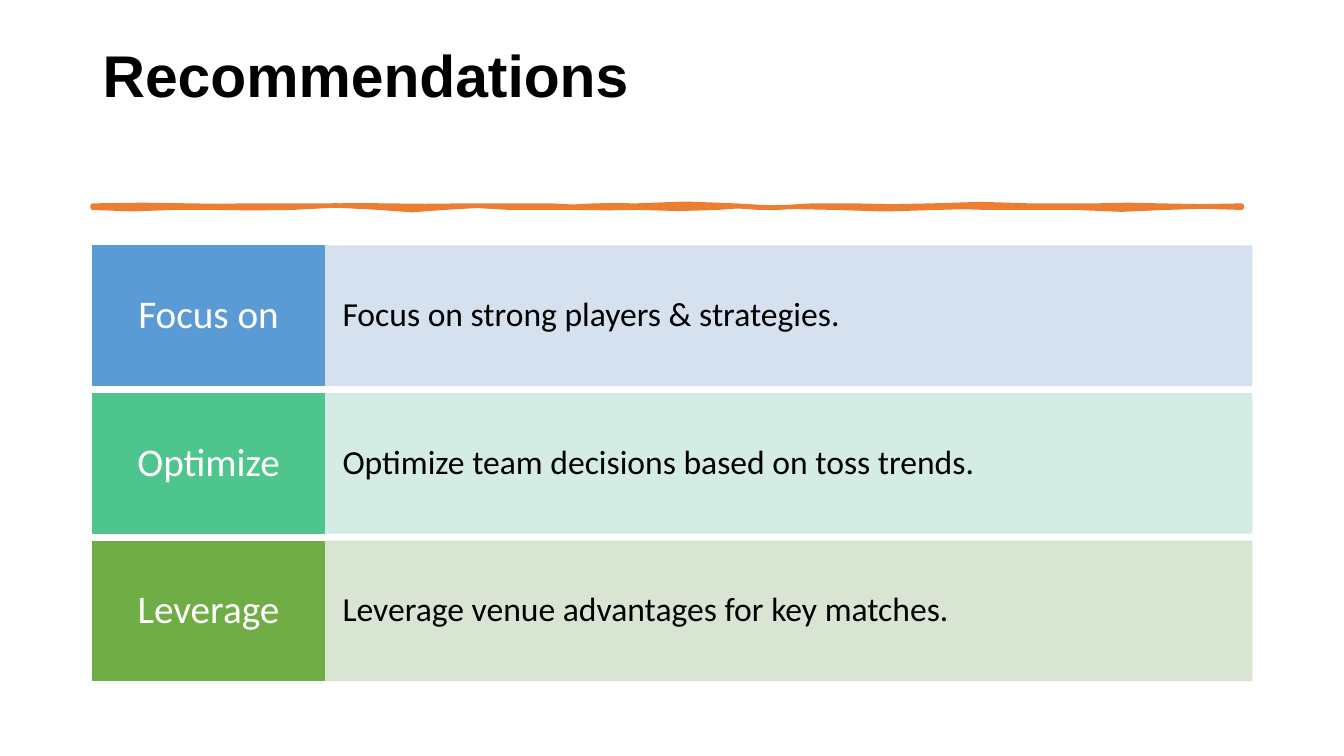
from dataclasses import dataclass

from lxml import etree
from pptx import Presentation
from pptx.dml.color import RGBColor
from pptx.enum import shapes, text
from pptx.oxml import ns
from pptx.util import Pt


@dataclass(frozen=True)
class Theme:
    """Colours, fonts and type sizes of the slide."""
    ink: str = "000000"
    paper: str = "FFFFFF"
    accent: str = "ED7D31"
    heading_font: str = "Arial"
    body_font: str = "Calibri"
    heading_size: float = 42
    label_size: float = 28
    advice_size: float = 24
    stroke: float = 3.25
    tint_alpha: int = 90


THEME = Theme()

RECOMMENDATIONS = [
    ("Focus on", "Focus on strong players & strategies.", "5B9BD5", "D2DEEF"),
    ("Optimize", "Optimize team decisions based on toss trends.", "4DC58D", "D0EAE1"),
    ("Leverage", "Leverage venue advantages for key matches.", "70AD47", "D5E3CF"),
]

UPPER_WAVES = [
    (70.6, 0, -1.4), (109.4, 1.4, -0.7), (172, 0.7, -0.7), (210, 0.7, -1.4),
    (265, 1.4, -0.7), (328, 0.7, -0.7), (358, 0.7, 1.4), (388, -1.4, 0.7),
    (459, -0.7, -2.9), (514, 2.9, 1.4), (544, -1.4, 1.4), (599, -1.4, 2.9),
    (670, -2.9, 0), (716, 0, 0), (763, 0, -1.4), (820.8, 1.4, 0),
]
LOWER_WAVES = [
    (820.8, 0, 0), (766, 0, -2.2), (703, 2.2, 1.4), (640, -1.4, 1.4),
    (602, -1.4, 0), (531, 0, 2.9), (476, -2.9, 1.4), (446, -1.4, -1.4),
    (391, 1.4, 0.7), (344, -0.7, 1.4), (298, -1.4, 1.4), (251, -1.4, -2.2),
    (205, 2.2, 2.2), (142, -2.2, -2.2), (87, 2.2, -1.4), (57, 1.4, -1.4),
    (0, 1.4, 1.4),
]


def write(frame, wording, font, size, colour, align, anchor, insets, bold=False):
    """Put one formatted run into a text frame."""
    frame.word_wrap = True
    frame.vertical_anchor = anchor
    frame.margin_left = frame.margin_right = Pt(insets[0])
    frame.margin_top = frame.margin_bottom = Pt(insets[1])
    line = frame.paragraphs[0]
    line.alignment = align
    line.line_spacing = 0.9
    run = line.add_run()
    run.text = wording
    run.font.name, run.font.size, run.font.bold = font, Pt(size), bold
    run.font.color.rgb = RGBColor.from_string(colour)


def paint(shape, colour, stroke=1, alpha=100):
    """Give a shape one colour for fill and line, with optional transparency."""
    shape.shadow.inherit = False
    shape.fill.solid()
    shape.fill.fore_color.rgb = RGBColor.from_string(colour)
    shape.line.color.rgb = RGBColor.from_string(colour)
    shape.line.width = Pt(stroke)
    if alpha < 100:
        for tone in shape.element.spPr.iter(ns.qn("a:srgbClr")):
            etree.SubElement(tone, ns.qn("a:alpha")).set("val", str(alpha * 1000))


def add_heading(slide, left, top, width, height):
    """Write the slide title at the top of its box."""
    heading = slide.shapes.add_textbox(Pt(left), Pt(top), Pt(width), Pt(height))
    write(heading.text_frame, "Recommendations", THEME.heading_font,
          THEME.heading_size, THEME.ink, text.PP_ALIGN.LEFT,
          text.MSO_ANCHOR.TOP, (7.2, 4.4), bold=True)


def wave_points(start, base, waves):
    """Trace a chain of waves by the middle and the end of each."""
    points = []
    for end, first_pull, second_pull in waves:
        if end != start:
            points.append(((start + end) / 2, base + 0.375 * (first_pull + second_pull)))
        points.append((end, base))
        start = end
    return points


def add_brush_rule(slide, left, top, width, height):
    """Draw the hand-drawn rule below the title."""
    outline = (wave_points(0, 0, UPPER_WAVES)
               + wave_points(width, height, LOWER_WAVES))
    brush = slide.shapes.build_freeform(Pt(left), Pt(top))
    brush.add_line_segments([(Pt(left + x), Pt(top + y)) for x, y in outline])
    paint(brush.convert_to_shape(), THEME.accent, THEME.stroke)


def add_panel(slide, left, top, width, height):
    """Add a rectangle for one half of a recommendation."""
    return slide.shapes.add_shape(shapes.MSO_SHAPE.RECTANGLE,
                                  Pt(left), Pt(top), Pt(width), Pt(height))


def add_recommendations(slide, left, top, width, height, gap=6):
    """Stack the recommendations as equal rows of label and advice."""
    row_height = (height - gap * (len(RECOMMENDATIONS) - 1)) / len(RECOMMENDATIONS)
    label_width = width / 5
    for row, (verb, advice, strong, tint) in enumerate(RECOMMENDATIONS):
        row_top = top + row * (row_height + gap)
        advice_panel = add_panel(slide, left + label_width, row_top,
                                 width - label_width, row_height)
        paint(advice_panel, tint, alpha=THEME.tint_alpha)
        write(advice_panel.text_frame, advice, THEME.body_font, THEME.advice_size,
              THEME.ink, text.PP_ALIGN.LEFT, text.MSO_ANCHOR.MIDDLE, (12.9, 25.2))
        label_panel = add_panel(slide, left, row_top, label_width, row_height)
        paint(label_panel, strong)
        write(label_panel.text_frame, verb, THEME.body_font, THEME.label_size,
              THEME.paper, text.PP_ALIGN.CENTER, text.MSO_ANCHOR.MIDDLE, (8.7, 10))


def main():
    """Build the slide and save it."""
    deck = Presentation()
    deck.slide_width, deck.slide_height = Pt(960), Pt(540)
    slide = deck.slides.add_slide(deck.slide_layouts[6])
    add_heading(slide, 66.2, 28.8, 828, 104.4)
    add_brush_rule(slide, 66.2, 146.9, 820.8, 1.44)
    add_recommendations(slide, 66.2, 175.8, 828, 310.4)
    deck.save("out.pptx")


if __name__ == "__main__":
    main()
